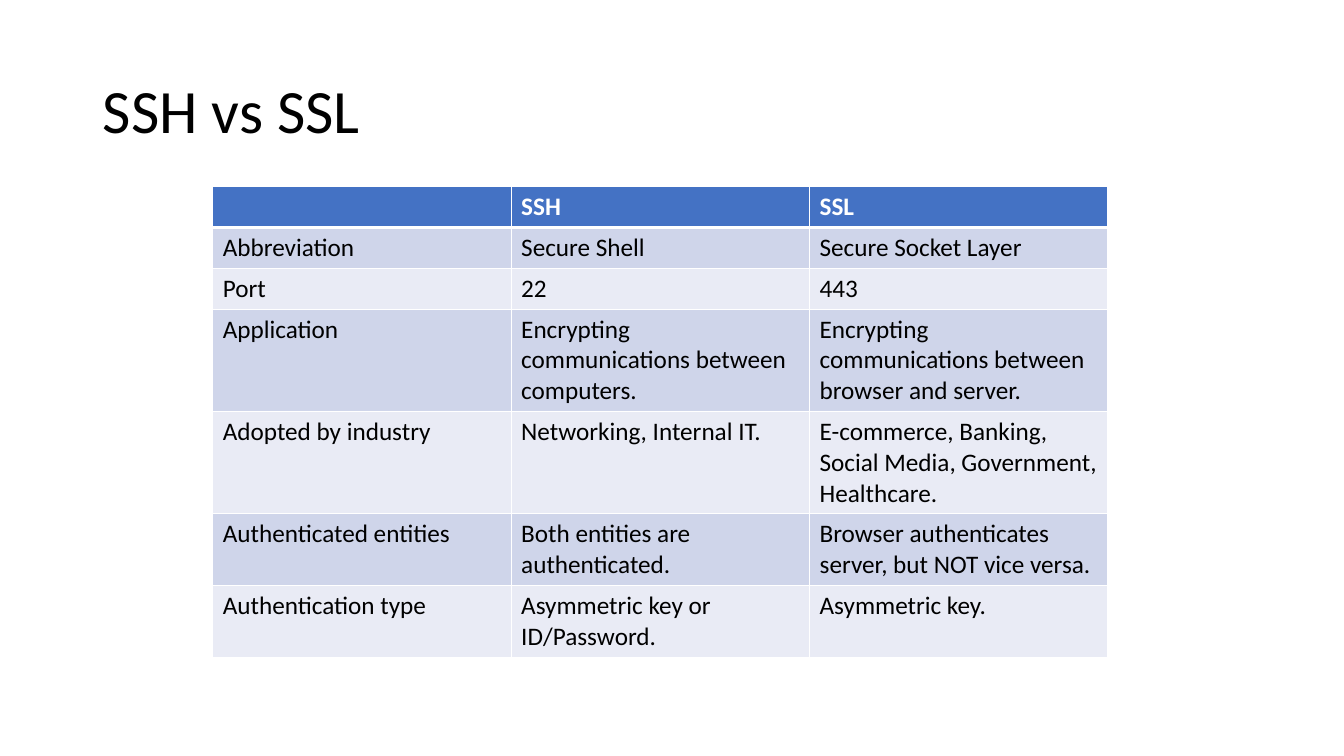
from lxml import etree
from pptx import Presentation, util as u
from pptx.dml.color import RGBColor
from pptx.enum import text
from pptx.oxml import ns

# Content: each row is its number of text lines and its cells
TITLE = "SSH vs SSL"
ROWS = [
    (1, ("", "SSH", "SSL")),
    (1, ("Abbreviation", "Secure Shell", "Secure Socket Layer")),
    (1, ("Port", "22", "443")),
    (3, ("Application", "Encrypting communications between computers.",
         "Encrypting communications between browser and server.")),
    (3, ("Adopted by industry", "Networking, Internal IT.",
         "E-commerce, Banking, Social Media, Government, Healthcare.")),
    (2, ("Authenticated entities", "Both entities are authenticated.",
         "Browser authenticates server, but NOT vice versa.")),
    (2, ("Authentication type", "Asymmetric key or ID/Password.",
         "Asymmetric key.")),
]
COLORS = {"header": "4472C4", "odd": "CFD5EA", "even": "E9EBF5",
          "white": "FFFFFF", "black": "000000"}
FONT = "Calibri"

# Layout in inches
SLIDE_W, SLIDE_H = 13.33, 7.5
TITLE_BOX = (0.92, 0.4, 11.5, 1.45)
TABLE_LEFT, TABLE_TOP, COLUMN_W = 2.11, 1.85, 2.96
LINE_H, CELL_PADDING = 0.3, 0.1


def style(para, size, color, bold=False):
    font = para.font
    font.name, font.size, font.bold = FONT, u.Pt(size), bold
    font.color.rgb = RGBColor.from_string(COLORS[color])


def add_border(cell, side, width):
    line = etree.SubElement(cell._tc.get_or_add_tcPr(), ns.qn(f"a:ln{side}"),
                            w=str(u.Pt(width)))
    fill = etree.SubElement(line, ns.qn("a:solidFill"))
    etree.SubElement(fill, ns.qn("a:srgbClr"), val=COLORS["white"])


def add_title(page):
    box = page.shapes.title
    box.left, box.top, box.width, box.height = map(u.Inches, TITLE_BOX)
    box.text_frame.text = TITLE
    box.text_frame.vertical_anchor = text.MSO_ANCHOR.MIDDLE
    para = box.text_frame.paragraphs[0]
    para.alignment = text.PP_ALIGN.LEFT
    para.line_spacing = 0.9
    style(para, 44, "black")


def add_comparison(page):
    heights = [CELL_PADDING + LINE_H * lines for lines, _ in ROWS]
    columns = len(ROWS[0][1])
    table = page.shapes.add_table(
        len(ROWS), columns, u.Inches(TABLE_LEFT), u.Inches(TABLE_TOP),
        u.Inches(COLUMN_W * columns), u.Inches(sum(heights))).table
    for column in table.columns:
        column.width = u.Inches(COLUMN_W)
    for r, (_, words) in enumerate(ROWS):
        table.rows[r].height = u.Inches(heights[r])
        header = r == 0
        band = "header" if header else "odd" if r % 2 else "even"
        for c, word in enumerate(words):
            cell = table.cell(r, c)
            cell.text = word
            style(cell.text_frame.paragraphs[0], 18,
                  "white" if header else "black", header)
            # The rule below the header is thicker than the others
            for side in "LRTB":
                thick = (r, side) in ((0, "B"), (1, "T"))
                add_border(cell, side, 3 if thick else 1)
            cell.fill.solid()
            cell.fill.fore_color.rgb = RGBColor.from_string(COLORS[band])


def main():
    deck = Presentation()
    deck.slide_width, deck.slide_height = u.Inches(SLIDE_W), u.Inches(SLIDE_H)
    page = deck.slides.add_slide(deck.slide_layouts.get_by_name("Title Only"))
    add_title(page)
    add_comparison(page)
    deck.save("out.pptx")


if __name__ == "__main__":
    main()
